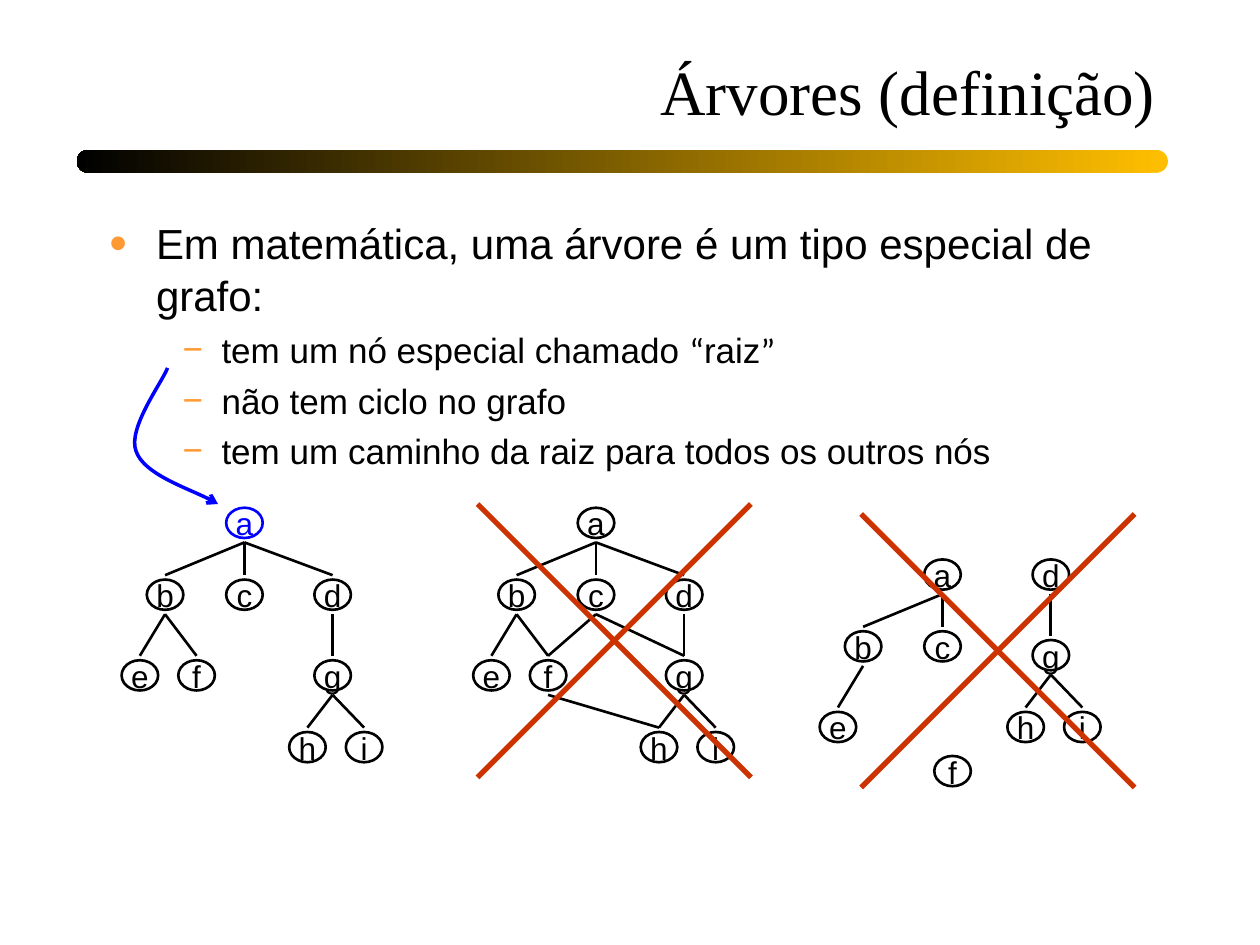
from dataclasses import dataclass

from lxml.etree import SubElement
from pptx import Presentation
from pptx.dml.color import RGBColor
from pptx.enum.shapes import MSO_CONNECTOR, MSO_SHAPE
from pptx.enum.text import MSO_ANCHOR, MSO_AUTO_SIZE, PP_ALIGN
from pptx.oxml.ns import qn
from pptx.util import Inches, Pt


@dataclass(frozen=True)
class Theme:
    ink: str = "000000"
    root: str = "0000FF"
    cross: str = "CC3300"
    bullet: str = "FF9933"
    gold: str = "FFBF00"
    serif: str = "Times New Roman"
    sans: str = "Arial"
    quote: str = "Calibri"
    title_size: int = 36
    lead_size: int = 24
    item_size: int = 20
    node_size: int = 18
    spacing: float = 1.02


theme = Theme()
prs = Presentation()
prs.slide_width, prs.slide_height = Inches(10), Inches(7.5)
COL, ROW = prs.slide_width / 100, prs.slide_height / 75  # square grid cells


def add_run(paragraph, text, size, font, color):
    run = paragraph.add_run()
    run.text = text
    run.font.size, run.font.name = Pt(size), font
    run.font.color.rgb = RGBColor.from_string(color)


def add_line(shapes, start, end, color, width):
    ends = [round(v) for x, y in (start, end) for v in (x * COL, y * ROW)]
    line = shapes.add_connector(MSO_CONNECTOR.STRAIGHT, *ends)
    line.line.color.rgb = RGBColor.from_string(color)
    line.line.width = Pt(width)
    SubElement(line.element.spPr, qn("a:effectLst"))


slide = prs.slides.add_slide(prs.slide_layouts[5])

# Title
title = slide.shapes.title
title.left, title.top = round(7.7 * COL), round(1.5 * ROW)
title.width, title.height = round(85 * COL), round(9.2 * ROW)
title.text_frame.vertical_anchor = MSO_ANCHOR.BOTTOM
title.text_frame.auto_size = MSO_AUTO_SIZE.NONE
heading = title.text_frame.paragraphs[0]
heading.alignment, heading.line_spacing = PP_ALIGN.RIGHT, theme.spacing
add_run(heading, "Árvores (definição)", theme.title_size, theme.serif, theme.ink)

# Gradient rule below the title
rule = slide.shapes.add_shape(MSO_SHAPE.ROUNDED_RECTANGLE, round(6.1 * COL),
                              round(11.9 * ROW), round(86.6 * COL), round(1.8 * ROW))
rule.adjustments[0] = 0.5
rule.shadow.inherit = False
rule.line.fill.background()
rule.fill.gradient()
rule.fill.gradient_angle = 180
for stop, color, position in zip(rule.fill.gradient_stops, (theme.gold, theme.ink), (0, 1)):
    stop.color.rgb = RGBColor.from_string(color)
    stop.position = position

# Definition: level and runs of each paragraph
definition = [
    (0, [("Em matemática, uma árvore é um tipo especial de grafo:", theme.sans)]),
    (1, [("tem um nó especial chamado ", theme.sans), ("“", theme.quote),
         ("raiz", theme.sans), ("”", theme.quote)]),
    (1, [("não tem ciclo no grafo", theme.sans)]),
    (1, [("tem um caminho da raiz para todos os outros nós", theme.sans)]),
]
# Size, space before, left margin, indent, bullet and bullet size of each level
levels = [
    (theme.lead_size, 5.6, 0.37, -0.37, "•", 120),
    (theme.item_size, 4.6, 0.89, -0.31, "−", 100),
]
body = slide.shapes.add_textbox(round(7.7 * COL), round(16.7 * ROW),
                                round(85 * COL), round(52.5 * ROW)).text_frame
body.word_wrap = True
for number, (level, runs) in enumerate(definition):
    size, before, margin, indent, bullet, bullet_size = levels[level]
    item = body.add_paragraph() if number else body.paragraphs[0]
    item.level, item.line_spacing, item.space_before = level, theme.spacing, Pt(before)
    props = item._p.get_or_add_pPr()
    props.set("marL", str(Inches(margin)))
    props.set("indent", str(Inches(indent)))
    SubElement(SubElement(props, qn("a:buClr")), qn("a:srgbClr"), val=theme.bullet)
    SubElement(props, qn("a:buSzPct"), val=str(bullet_size * 1000))
    SubElement(props, qn("a:buFont"), typeface=theme.sans)
    SubElement(props, qn("a:buChar"), char=bullet)
    for text, font in runs:
        add_run(item, text, size, font, theme.ink)

# Node places, in cells from the root "a"
tree = {"a": (0, 0), "b": (-6.3, 5.7), "c": (0, 5.7), "d": (7, 5.7),
        "e": (-8.3, 12.1), "f": (-3.8, 12.1), "g": (7, 12.1),
        "h": (5, 17.8), "i": (9.5, 17.8)}
# In the forest, d's branch moves away from a, and f stands alone
forest = dict(tree, f=(0.8, 15.6))
for name in "dghi":
    forest[name] = (tree[name][0] + 1.6, tree[name][1] - 5.7)

# Root position, root colour, nodes and edges of each graph
graphs = [
    ((19.4, 41.5), theme.root, tree, "ab ac ad be bf dg gh gi"),
    ((74.8, 45.6), theme.ink, forest, "ab ac be dg gh gi"),
    ((47.3, 41.5), theme.ink, tree, "ab ac ad be bf dg gh gi cg fh cf"),
]
NODE_W, NODE_H, LABEL_H = 2.9, 2.4, 3.1
narrow_labels = {"c": 1.3, "f": 0.7, "i": 0.6}
for (root_x, root_y), root_color, nodes, edges in graphs:
    graph = slide.shapes.add_group_shape().shapes
    centers = {name: (root_x + dx, root_y + dy) for name, (dx, dy) in nodes.items()}
    for name, (x, y) in centers.items():
        color = root_color if name == "a" else theme.ink
        node = graph.add_shape(MSO_SHAPE.OVAL, round((x - NODE_W / 2) * COL),
                               round((y - NODE_H / 2) * ROW),
                               round(NODE_W * COL), round(NODE_H * ROW))
        node.shadow.inherit = False
        node.fill.background()
        node.line.color.rgb = RGBColor.from_string(color)
        node.line.width = Pt(1.5)
        label_w = narrow_labels.get(name, 1.4)
        label = graph.add_textbox(round((x - label_w / 2) * COL),
                                  round((y - LABEL_H / 2) * ROW),
                                  round(label_w * COL), round(LABEL_H * ROW)).text_frame
        label.margin_left = label.margin_right = label.margin_top = label.margin_bottom = 0
        label.word_wrap = False
        label.auto_size = MSO_AUTO_SIZE.SHAPE_TO_FIT_TEXT
        label.vertical_anchor = MSO_ANCHOR.MIDDLE
        letter = label.paragraphs[0]
        letter.alignment, letter.line_spacing = PP_ALIGN.CENTER, theme.spacing
        add_run(letter, name, theme.node_size, theme.sans, color)
    for parent, child in edges.split():
        (x1, y1), (x2, y2) = centers[parent], centers[child]
        add_line(graph, (x1, y1 + LABEL_H / 2), (x2, y2 - LABEL_H / 2), theme.ink, 1.5)

# Curved arrow from the root item to the root node
bends = [(12.9, 30.3), (10.1, 34), (10.8, 35.8), (11.4, 37.6), (15.9, 39.1), (17.3, 40)]
builder = slide.shapes.build_freeform(round(13.3 * COL), round(29.2 * ROW))
builder.add_line_segments([(round(x * COL), round(y * ROW)) for x, y in bends], close=False)
root_arrow = builder.convert_to_shape()
root_arrow.shadow.inherit = False
root_arrow.fill.background()
root_arrow.line.color.rgb = RGBColor.from_string(theme.root)
root_arrow.line.width = Pt(2)
SubElement(root_arrow.element.spPr.find(qn("a:ln")), qn("a:tailEnd"), type="arrow")
outline = next(root_arrow.element.iter(qn("a:path")))
segments = outline.findall(qn("a:lnTo"))
for first in range(0, len(segments), 3):  # three points make one Bézier curve
    curve = SubElement(outline, qn("a:cubicBezTo"))
    for segment in segments[first:first + 3]:
        curve.append(segment[0])
        outline.remove(segment)

# Crosses over the graphs that are not trees
CROSS = 21.7
for left, top in ((37.9, 40), (68.35, 40.8)):
    right, bottom = left + CROSS, top + CROSS
    add_line(slide.shapes, (left, top), (right, bottom), theme.cross, 3)
    add_line(slide.shapes, (right, top), (left, bottom), theme.cross, 3)

prs.save("out.pptx")
